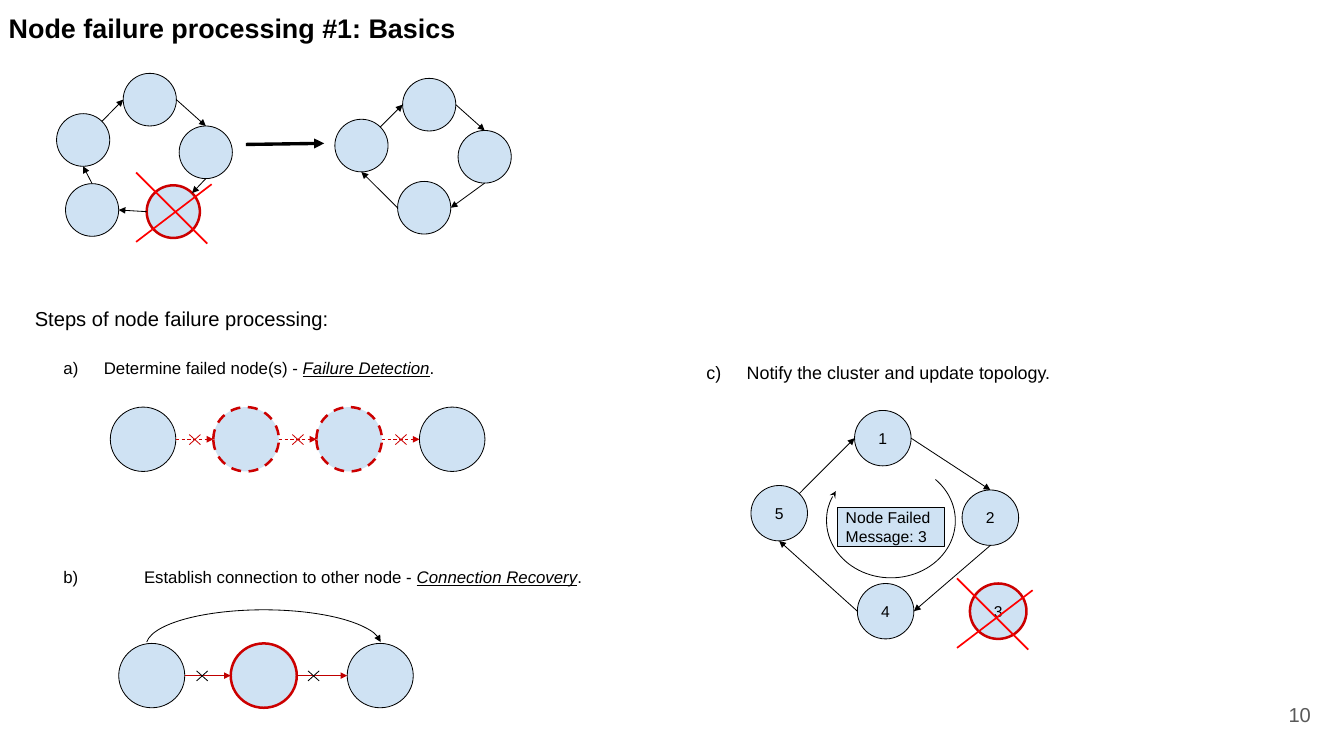
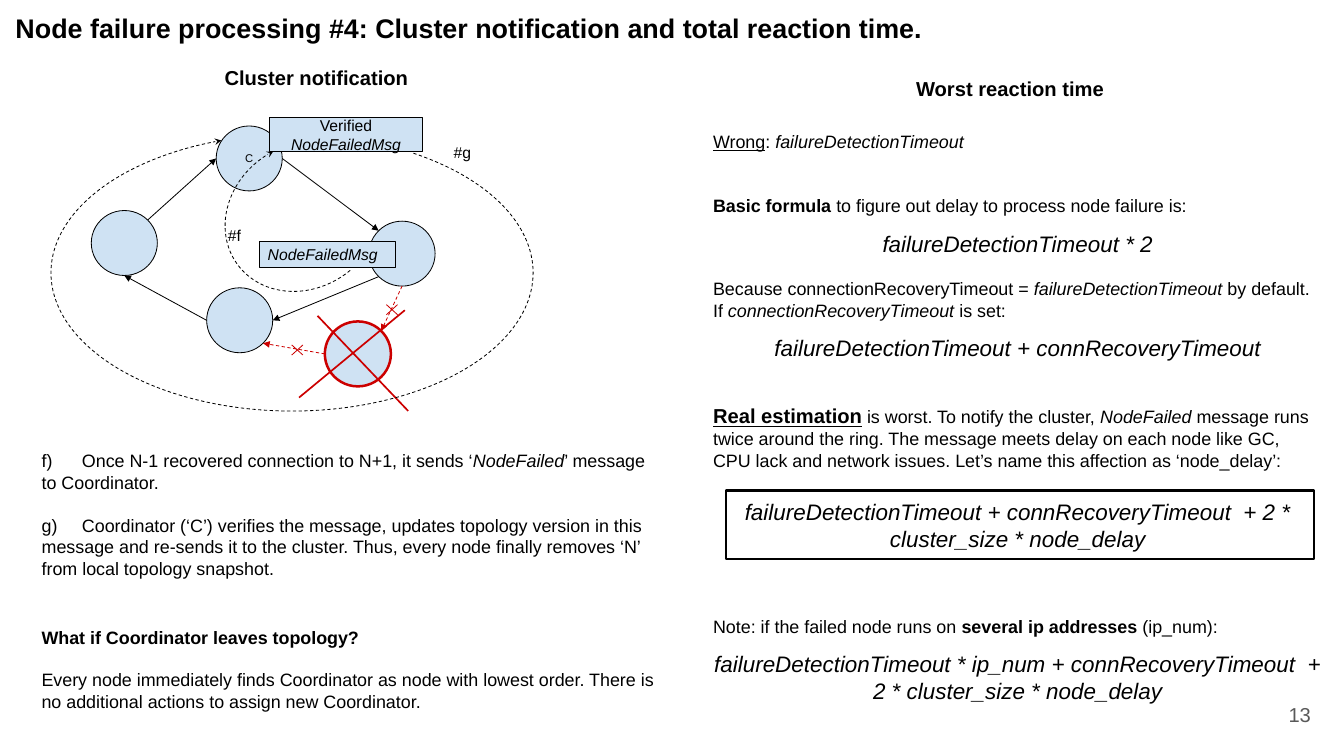
from math import cos, radians, sin

from lxml.etree import SubElement
from pptx import Presentation
from pptx.dml.color import RGBColor
from pptx.enum.dml import MSO_LINE
from pptx.enum.shapes import MSO_CONNECTOR, MSO_SHAPE
from pptx.enum.text import MSO_ANCHOR, MSO_AUTO_SIZE, PP_ALIGN
from pptx.oxml.ns import qn
from pptx.util import Pt

rgb = RGBColor.from_string
BLACK, GREY, BLUE = "000000", "595959", "CFE2F3"
RED, DARK_RED, BRIGHT_RED = "CC0000", "C00000", "FF0000"
ALIGN = {"l": PP_ALIGN.LEFT, "c": PP_ALIGN.CENTER, "r": PP_ALIGN.RIGHT}
ANGLE = {"E": 0, "SE": 45, "S": 90, "SW": 135, "W": 180, "NW": 225, "N": 270, "NE": 315}

# name: colour, width, dash
LINES = {
    "live": (BLACK, 0.75, None),
    "message": (BLACK, 0.75, MSO_LINE.DASH),
    "change": (BLACK, 3, None),
    "frame": (BLACK, 2, None),
    "failed": (RED, 2.25, None),
    "suspect": (RED, 2.25, MSO_LINE.DASH),
    "lost": (RED, 0.75, MSO_LINE.DASH),
    "cut": (DARK_RED, 0.75, None),
    "mark": (RED, 0.75, None),
    "cross": (BRIGHT_RED, 1.5, None),
    "dark cross": (RED, 1.5, None),
}
# strokes of a cross, relative to its position
MARK = [(-5, -4.5, 5, 4.5), (5, -4.5, -5, 4.5)]
CROSS = [(0, 0, 63.5, 63.5), (67.5, 10.5, 0, 62)]
WIDE_CROSS = [(97.5, 90, 16.5, 5), (94.5, 0, 0, 78)]


def paint(shape, style, fill=None, head=None):
    """Set fill, outline and arrowhead, and remove the shadow."""
    if fill:
        shape.fill.solid()
        shape.fill.fore_color.rgb = rgb(fill)
    elif hasattr(shape, "fill"):
        shape.fill.background()
    color, width, dash = LINES[style]
    shape.line.color.rgb = rgb(color)
    shape.line.width = Pt(width)
    if dash:
        shape.line.dash_style = dash
    spPr = shape.element.spPr
    if head:
        SubElement(spPr.find(qn("a:ln")), qn("a:tailEnd"), type=head)
    SubElement(spPr, qn("a:effectLst"))


def write(tf, paragraphs, inset=7.2, anchor=MSO_ANCHOR.TOP, color=BLACK):
    """Paragraph: (space before, size, alignment, runs...); run: (text, letters of b, i, u[, size])."""
    frame = {"word_wrap": True, "auto_size": MSO_AUTO_SIZE.NONE, "vertical_anchor": anchor}
    for side in ("left", "right", "top", "bottom"):
        frame[f"margin_{side}"] = Pt(inset)
    for name, value in frame.items():
        setattr(tf, name, value)
    for i, (gap, size, align, *runs) in enumerate(paragraphs):
        p = tf.add_paragraph() if i else tf.paragraphs[0]
        p.alignment, p.space_before = ALIGN[align], Pt(gap)
        for text, style, *own_size in runs:
            r = p.add_run()
            r.text = text
            font = {"name": "Arial", "size": Pt(own_size[0] if own_size else size),
                    "bold": "b" in style, "italic": "i" in style, "underline": "u" in style}
            for name, value in font.items():
                setattr(r.font, name, value)
            r.font.color.rgb = rgb(color)
            if "\t" in text:
                tabs = SubElement(p._p.get_or_add_pPr(), qn("a:tabLst"))
                SubElement(tabs, qn("a:tab"), pos=str(Pt(72)), algn="l")


basics = {
    "title": "Node failure processing #1: Basics",
    "title_at": (-3, -0.5, 491, 43),
    "number": "10",
    # node width, node height, nodes (left, top, state, label), arrows (from, side, to, side, style)
    "clusters": [
        (47.5, 47,
         [(110, 65.5, "live", ""), (160, 112.5, "live", ""), (131, 165.5, "failed", ""),
          (58.5, 164, "live", ""), (50.5, 101.5, "live", "")],
         [(0, "E", 1, "N", "live"), (1, "S", 2, "NE", "live"), (2, "W", 3, "E", "live"),
          (3, "N", 4, "S", "live"), (4, "NE", 0, "W", "live")]),
        (47.5, 47,
         [(359.5, 70, "live", ""), (409, 116.5, "live", ""),
          (355, 162, "live", ""), (299, 106.5, "live", "")],
         [(0, "E", 1, "N", "live"), (1, "S", 2, "E", "live"),
          (2, "W", 3, "S", "live"), (3, "NE", 0, "W", "live")]),
        (58.5, 57.5,
         [(98.5 + 92 * i, 363.5, state, "")
          for i, state in enumerate(("live", "suspect", "suspect", "live"))],
         [(i, "E", i + 1, "W", "lost") for i in range(3)]),
        (59, 57.5,
         [(106, 574.5, "live", ""), (206, 574.5, "failed", ""), (310, 574.5, "live", "")],
         [(i, "E", i + 1, "W", "cut") for i in range(2)]),
        (50.5, 49.5,
         [(763, 366.5, "live", "1"), (859, 437.5, "live", "2"), (866, 521, "failed", "3"),
          (765.5, 521, "live", "4"), (670.5, 433.5, "live", "5")],
         [(0, "E", 1, "N", "live"), (1, "S", 3, "E", "live"),
          (3, "W", 4, "S", "live"), (4, "NE", 0, "W", "live")]),
    ],
    "arrows": [(219.5, 129, 289.5, 128, "change")],
    "crosses": [(121.5, 154, CROSS, "cross"), (854.5, 516.5, CROSS, "cross"),
                (180.5, 603.5, MARK, "live"), (280, 603.5, MARK, "live")]
               + [(174 + 92 * i, 392.5, MARK, "mark") for i in range(3)],
    # box, rotation, adjustments, style, head
    "arcs": [((130.5, 544.5, 210, 64), 0, (109.07, 214.94), "live", "triangle"),
             ((738, 414, 115, 102), 0, (190.32, 124.9), "live", "stealth")],
    "boxes": [((748, 453.5, 95, 34), "live", BLUE,
               [(0, 14, "l", ("Node Failed", "")), (0, 14, "l", ("Message: 3", ""))])],
    # the first two texts go into the body placeholders
    "texts": [
        ((49.5, 312, 426, 28),
         [(0, 15, "l", ("a)\tDetermine failed node(s) - ", ""),
           ("Failure Detection", "iu"), (".", ""))]),
        ((623.5, 315.5, 388, 39),
         [(0, 16, "l", ("c)\tNotify the cluster and update topology.", ""))]),
        ((49.5, 499, 489, 34),
         [(0, 15, "l", ("b)\tEstablish connection to other node - ", ""),
           ("Connection Recovery", "iu"), (".", ""))]),
        ((24, 266.5, 340.5, 39), [(0, 18, "l", ("Steps of node failure processing:", ""))]),
    ],
}

notification = {
    "title": "Node failure processing #4: Cluster notification and total reaction time.",
    "title_at": (3, -0.5, 899, 43),
    "number": "13",
    "clusters": [
        (59, 58,
         [(193, 112.5, "live", "C"), (329.5, 197.5, "live", ""), (290, 287, "failed", ""),
          (184.5, 257, "live", ""), (81.5, 188, "live", "")],
         [(0, "E", 1, "NW", "live"), (1, "SW", 3, "E", "live"), (3, "W", 4, "S", "live"),
          (4, "NE", 0, "W", "live"), (1, "S", 2, "NE", "lost"), (2, "W", 3, "SE", "lost")]),
    ],
    "arrows": [],
    "crosses": [(267, 277, WIDE_CROSS, "dark cross"),
                (265.5, 312.5, MARK, "mark"), (350, 276.5, MARK, "mark")],
    "arcs": [((198, 129.5, 145.5, 127.5), 144.3, (158.8, 60.6), "message", "stealth"),
             ((45.5, 120, 430.5, 247), 180, (81.26, 37.12), "message", "stealth")],
    "boxes": [
        ((232, 216, 121.5, 22.5), "live", BLUE, [(0, 14, "l", ("NodeFailedMsg", "i"))]),
        ((240.5, 104.5, 137, 31), "live", BLUE,
         [(0, 14, "c", ("Verified", "")), (0, 14, "c", ("NodeFailedMsg", "i"))]),
        ((648.5, 438, 525, 61), "frame", None, []),
    ],
    "texts": [
        ((30, 394.5, 562.5, 157.5), [
            (0, 16, "l", ("f)\tOnce N-1 recovered connection to N+1, it sends ‘", ""),
             ("NodeFailed", "i"), ("’ message to Coordinator.", "")),
            (19, 16, "l", ("g)\tCoordinator (‘C’) verifies the message, updates topology version in "
                           "this message and re-sends it to the cluster. Thus, every node finally "
                           "removes ‘N’ from local topology snapshot.", "")),
        ]),
        ((629.5, 109.5, 558.5, 551.5), [
            (0, 16, "l", ("Wrong", "u"), (": ", ""), ("failureDetectionTimeout", "i")),
            (38, 16, "l", ("Basic formula ", "b"),
             ("to figure out delay to process node failure is:", "")),
            (12, 20, "c", ("failureDetectionTimeout * 2", "i")),
            (19, 16, "l", ("Because connectionRecoveryTimeout = ", ""),
             ("failureDetectionTimeout", "i"), (" by default. If ", ""),
             ("connectionRecoveryTimeout", "i"), (" is set:", "")),
            (12, 20, "c", ("failureDetectionTimeout + connRecoveryTimeout", "i")),
            (38, 16, "l", ("Real estimation", "bu", 18),
             (" is worst. To notify the cluster, ", ""), ("NodeFailed", "i"),
             (" message runs twice around the ring. The message meets delay on each node like GC, "
              "CPU lack and network issues. Let’s name this affection as ‘node_delay’:", "")),
            (24, 20, "c", ("failureDetectionTimeout + connRecoveryTimeout  + 2 * "
                           "cluster_size * node_delay", "i")),
            (57, 16, "l", ("Note: if the failed node runs on ", ""),
             ("several ip addresses", "b"), (" (ip_num):", "")),
            (12, 20, "c", ("failureDetectionTimeout * ip_num + connRecoveryTimeout  + "
                           "2 * cluster_size * node_delay", "i")),
        ]),
        ((30, 552, 569.5, 90), [
            (0, 16, "l", ("What if Coordinator leaves topology?", "b")),
            (19, 16, "l", ("Every node immediately finds Coordinator as node with lowest order. "
                           "There is no additional actions to assign new Coordinator.", "")),
        ]),
        ((7, 51, 551, 38), [(0, 18, "c", ("Cluster notification", "b"))]),
        ((629.5, 61, 544.5, 38), [(0, 18, "c", ("Worst reaction time", "b"))]),
        ((196.5, 194.5, 35.5, 38), [(0, 14, "l", ("#f", ""))]),
        ((398, 120, 35.5, 38), [(0, 14, "l", ("#g", ""))]),
    ],
}

prs = Presentation()
prs.slide_width, prs.slide_height = Pt(1200), Pt(675)

# body text starts at the margin, without bullets
level = prs.slide_master.element.find(f".//{qn('p:bodyStyle')}/{qn('a:lvl1pPr')}")
level.set("marL", "0")
level.set("indent", "0")
level.replace(level.find(qn("a:buChar")), level.makeelement(qn("a:buNone"), {}))

for content in (basics, notification):
    s = prs.slides.add_slide(prs.slide_layouts[3])
    title, *bodies = s.placeholders
    title.left, title.top, title.width, title.height = map(Pt, content["title_at"])
    write(title.text_frame, [(0, 24, "l", (content["title"], "b"))], inset=10.8)

    strokes = [(*arrow, "triangle") for arrow in content["arrows"]]
    for w, h, nodes, arrows in content["clusters"]:
        for x, y, state, label in nodes:
            sp = s.shapes.add_shape(MSO_SHAPE.OVAL, Pt(x), Pt(y), Pt(w), Pt(h))
            paint(sp, state, BLUE)
            if label:
                size = 14 if label.isdigit() else 10
                write(sp.text_frame, [(0, size, "c", (label, ""))], 10.8, MSO_ANCHOR.MIDDLE)
        for start, start_side, end, end_side, style in arrows:
            ends = []
            for node, side in ((start, start_side), (end, end_side)):
                angle = radians(ANGLE[side])
                ends += [nodes[node][0] + w / 2 * (1 + cos(angle)),
                         nodes[node][1] + h / 2 * (1 + sin(angle))]
            strokes.append((*ends, style, "triangle"))
    for x, y, pattern, style in content["crosses"]:
        strokes += [(x + x1, y + y1, x + x2, y + y2, style, None) for x1, y1, x2, y2 in pattern]
    for *ends, style, head in strokes:
        paint(s.shapes.add_connector(MSO_CONNECTOR.STRAIGHT, *map(Pt, ends)), style, head=head)

    for at, rotation, adjustments, style, head in content["arcs"]:
        sp = s.shapes.add_shape(MSO_SHAPE.ARC, *map(Pt, at))
        sp.rotation = rotation
        for i, value in enumerate(adjustments):
            sp.adjustments[i] = value
        paint(sp, style, head=head)

    for at, style, fill, paragraphs in content["boxes"]:
        sp = s.shapes.add_shape(MSO_SHAPE.RECTANGLE, *map(Pt, at))
        paint(sp, style, fill)
        write(sp.text_frame, paragraphs, anchor=MSO_ANCHOR.MIDDLE)

    for at, paragraphs in content["texts"]:
        sp = bodies.pop(0) if bodies else s.shapes.add_textbox(0, 0, 0, 0)
        sp.left, sp.top, sp.width, sp.height = map(Pt, at)
        write(sp.text_frame, paragraphs)

    number = s.shapes.add_textbox(Pt(1111.5), Pt(612), Pt(72), Pt(52))
    write(number.text_frame, [(0, 18, "r", (content["number"], ""))], 13, MSO_ANCHOR.MIDDLE, GREY)

prs.save("out.pptx")
